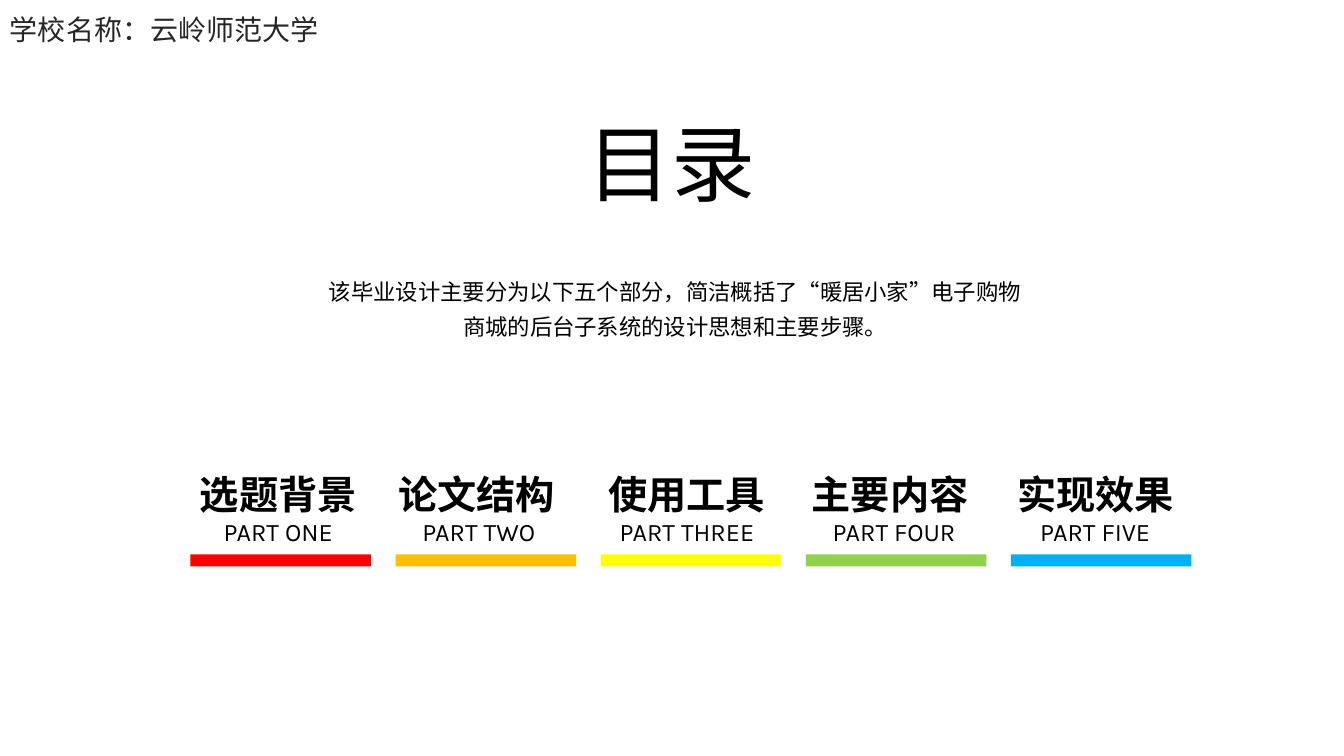
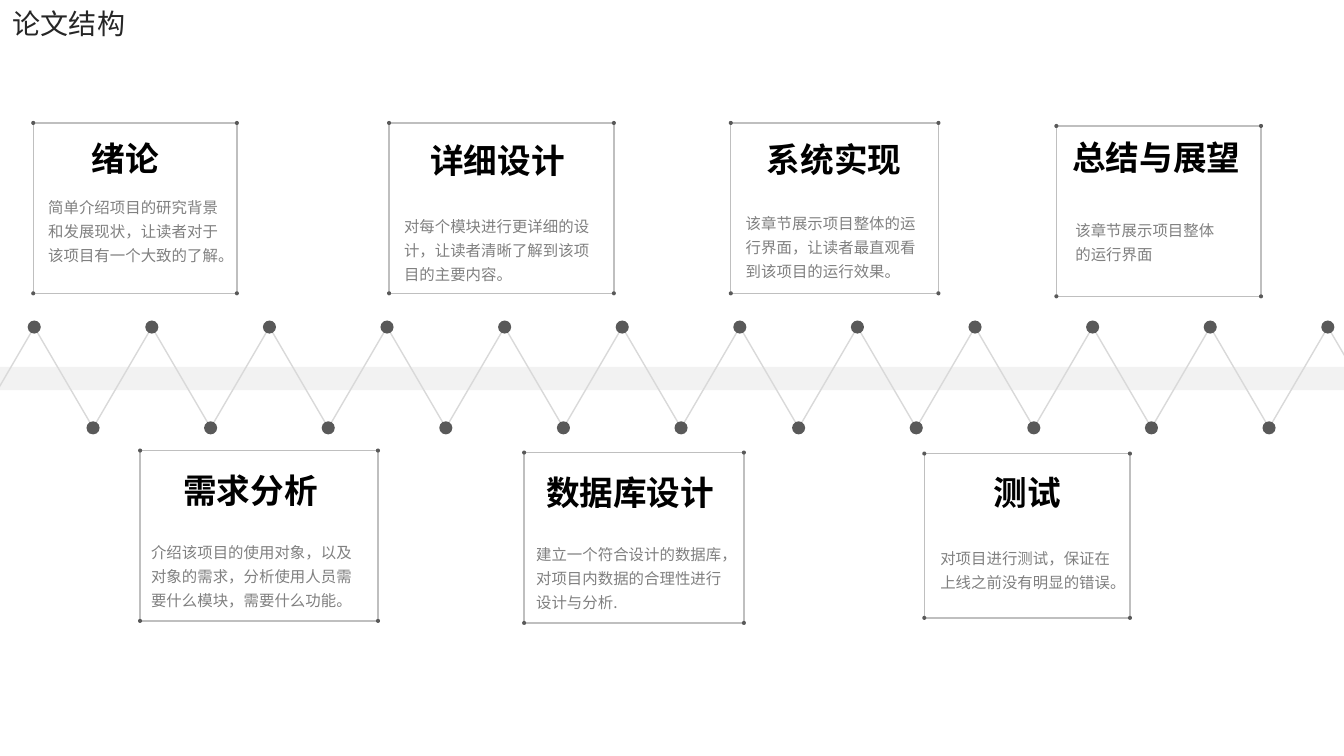
"""Builds the contents and thesis-structure slides of a graduation-project talk."""
from dataclasses import dataclass
from itertools import product
from typing import NamedTuple, Optional

from lxml.etree import SubElement
from pptx import Presentation
from pptx.dml.color import RGBColor
from pptx.enum.lang import MSO_LANGUAGE_ID as Lang
from pptx.enum.shapes import MSO_CONNECTOR as Connector, MSO_SHAPE as Preset
from pptx.enum.text import MSO_AUTO_SIZE as AutoSize, PP_ALIGN as Align
from pptx.oxml.ns import qn
from pptx.slide import Slide
from pptx.util import Inches, Pt

COLUMNS, ROWS = 80, 45
SLIDE_W, SLIDE_H = Inches(13.33), Inches(7.5)

BLACK = RGBColor(0x00, 0x00, 0x00)
WHITE = RGBColor(0xFF, 0xFF, 0xFF)
HEADER_INK = RGBColor(0x26, 0x26, 0x26)
BODY_GREY = RGBColor(0x80, 0x80, 0x80)
DOT_GREY = RGBColor(0x59, 0x59, 0x59)
FRAME_GREY = RGBColor(0xBF, 0xBF, 0xBF)
WAVE_GREY = RGBColor(0xD9, 0xD9, 0xD9)
BAND_GREY = RGBColor(0xF2, 0xF2, 0xF2)
RED = RGBColor(0xFF, 0x00, 0x00)
ORANGE = RGBColor(0xFF, 0xC0, 0x00)
YELLOW = RGBColor(0xFF, 0xFF, 0x00)
GREEN = RGBColor(0x92, 0xD0, 0x50)
BLUE = RGBColor(0x00, 0xB0, 0xF0)

LATIN_FONT = "Karla"
CHINESE_FONT = "Noto Sans CJK SC"


class Area(NamedTuple):
    left: float
    top: float
    width: float
    height: float


class Style(NamedTuple):
    size: int
    color: RGBColor = BLACK
    bold: bool = False
    font: str = LATIN_FONT
    align: Align = Align.LEFT
    spacing: Optional[float] = None
    wrap: bool = True


HEADER = Style(20, HEADER_INK, wrap=False)
CONTENTS_TITLE = Style(60, align=Align.CENTER, wrap=False)
SUMMARY = Style(16, align=Align.CENTER, spacing=1.3)
PART_NAME = Style(28, bold=True, align=Align.CENTER, spacing=1.3)
PART_NUMBER = Style(18, align=Align.CENTER, spacing=1.3)
CHAPTER_NAME = Style(24, bold=True, wrap=False)
CHAPTER_BODY = Style(11, BODY_GREY, font=CHINESE_FONT, spacing=1.3)


@dataclass(frozen=True)
class Part:
    name: str
    name_left: float
    number: str
    number_left: float
    number_width: float
    color: RGBColor


@dataclass(frozen=True)
class Chapter:
    name: str
    name_at: tuple[float, float]
    frame: Area
    body: str
    body_area: Area


PARTS = [
    Part("选题背景", 10.8, "PART ONE", 11.76, 9.6, RED),
    Part("论文结构", 22.62, "PART TWO", 23.28, 10.44, ORANGE),
    Part("使用工具", 35.1, "PART THREE", 35.28, 11.22, YELLOW),
    Part("主要内容", 47.22, "PART FOUR", 48.6, 9.24, GREEN),
    Part("实现效果", 59.46, "PART FIVE", 61.2, 7.98, BLUE),
]
PART_LEFT, PART_PITCH, PART_WIDTH = 11.34, 12.21, 10.74

CHAPTERS = [
    Chapter("绪论", (4.86, 7.92), Area(1.98, 7.32, 12.12, 10.14),
            "简单介绍项目的研究背景和发展现状，让读者对于该项目有一个大致的了解。",
            Area(2.28, 11.16, 11.52, 6.36)),
    Chapter("需求分析", (10.32, 27.66), Area(8.34, 26.82, 14.16, 10.14),
            "介绍该项目的使用对象，以及对象的需求，分析使用人员需要什么模块，需要什么功能。",
            Area(8.4, 31.68, 13.56, 4.92)),
    Chapter("详细设计", (25.02, 8.04), Area(23.16, 7.32, 13.38, 10.14),
            "对每个模块进行更详细的设计，让读者清晰了解到该项目的主要内容。",
            Area(23.46, 12.3, 12.3, 4.92)),
    Chapter("数据库设计", (31.92, 27.78), Area(31.2, 26.94, 13.08, 10.14),
            "建立一个符合设计的数据库，对项目内数据的合理性进行设计与分析.",
            Area(31.32, 31.8, 12.54, 4.92)),
    Chapter("系统实现", (45.06, 7.98), Area(43.5, 7.32, 12.36, 10.14),
            "该章节展示项目整体的运行界面，让读者最直观看到该项目的运行效果。",
            Area(43.8, 12.12, 12.06, 4.92)),
    Chapter("测试", (58.56, 27.78), Area(55.02, 27, 12.24, 9.78),
            "对项目进行测试，保证在上线之前没有明显的错误。",
            Area(55.38, 32.04, 11.58, 3.48)),
    Chapter("总结与展望", (63.24, 7.86), Area(62.88, 7.5, 12.18, 10.14),
            "该章节展示项目整体的运行界面",
            Area(63.42, 12.54, 10.2, 3.48)),
]

WAVE_LEFT, WAVE_TOP, WAVE_PITCH, WAVE_HEIGHT, WAVE_COUNT = -1.46, 19.47, 7, 6, 12
WAVE_DOT, CORNER_DOT = 0.78, 0.24


def across(columns: float) -> int:
    """Turns grid columns into a length."""
    return round(SLIDE_W * columns / COLUMNS)


def down(rows: float) -> int:
    """Turns grid rows into a length."""
    return round(SLIDE_H * rows / ROWS)


def placed(area: Area) -> tuple[int, int, int, int]:
    """Turns a grid area into left, top, width and height."""
    return across(area.left), down(area.top), across(area.width), down(area.height)


def add_text(slide: Slide, area: Area, words: str, style: Style) -> None:
    """Writes one paragraph in the given style."""
    frame = slide.shapes.add_textbox(*placed(area)).text_frame
    frame.word_wrap = style.wrap
    frame.auto_size = AutoSize.SHAPE_TO_FIT_TEXT
    paragraph = frame.paragraphs[0]
    paragraph.alignment = style.align
    if style.spacing:
        paragraph.line_spacing = style.spacing
    run = paragraph.add_run()
    run.text = words
    font = run.font
    font.size, font.bold, font.name = Pt(style.size), style.bold, style.font
    font.color.rgb = style.color
    font.language_id = Lang.SIMPLIFIED_CHINESE
    SubElement(run._r.get_or_add_rPr(), qn("a:ea"), typeface=CHINESE_FONT)


def add_figure(slide: Slide, preset: Preset, area: Area,
               fill: Optional[RGBColor] = None, line: Optional[RGBColor] = None) -> None:
    """Draws a flat preset shape, filled or outlined."""
    figure = slide.shapes.add_shape(preset, *placed(area))
    figure.shadow.inherit = False
    if fill is None:
        figure.fill.background()
    else:
        figure.fill.solid()
        figure.fill.fore_color.rgb = fill
    if line is None:
        figure.line.fill.background()
    else:
        figure.line.color.rgb = line
        figure.line.width = Pt(1)


def add_dot(slide: Slide, x: float, y: float, size: float) -> None:
    """Draws a grey dot centred on a grid point."""
    add_figure(slide, Preset.OVAL, Area(x - size / 2, y - size / 2, size, size), fill=DOT_GREY)


def add_part(slide: Slide, index: int, part: Part) -> None:
    """Draws one entry of the contents with its colour bar."""
    add_text(slide, Area(part.number_left, 29.88, part.number_width, 2.94),
             part.number, PART_NUMBER)
    add_text(slide, Area(part.name_left, 26.88, 11.52, 3.9), part.name, PART_NAME)
    add_figure(slide, Preset.RECTANGLE,
               Area(PART_LEFT + index * PART_PITCH, 33, PART_WIDTH, 0.72), fill=part.color)


def add_wave(slide: Slide) -> None:
    """Draws the zigzag over its band, with a dot at every turn."""
    add_figure(slide, Preset.RECTANGLE, Area(0, 21.84, COLUMNS, 1.38), fill=BAND_GREY)
    lefts = [WAVE_LEFT + index * WAVE_PITCH for index in range(WAVE_COUNT)]
    bottom = WAVE_TOP + WAVE_HEIGHT
    for left in lefts:
        add_figure(slide, Preset.ISOSCELES_TRIANGLE,
                   Area(left, WAVE_TOP, WAVE_PITCH, WAVE_HEIGHT), line=WAVE_GREY)
    base = slide.shapes.add_connector(Connector.STRAIGHT, 0, down(bottom), SLIDE_W, down(bottom))
    base.line.color.rgb = WHITE
    base.line.width = Pt(3)
    SubElement(base._element.spPr, qn("a:effectLst"))
    for left in lefts:
        add_dot(slide, left + WAVE_PITCH / 2, WAVE_TOP, WAVE_DOT)
    for left in lefts[1:]:
        add_dot(slide, left, bottom, WAVE_DOT)


def add_chapter(slide: Slide, chapter: Chapter) -> None:
    """Draws a framed chapter card with dotted corners."""
    left, top, width, height = chapter.frame
    add_figure(slide, Preset.RECTANGLE, chapter.frame, line=FRAME_GREY)
    for x, y in product((left, left + width), (top, top + height)):
        add_dot(slide, x, y, CORNER_DOT)
    name_width = 1.2 + 2.02 * len(chapter.name)
    add_text(slide, Area(*chapter.name_at, name_width, 3), chapter.name, CHAPTER_NAME)
    add_text(slide, chapter.body_area, chapter.body, CHAPTER_BODY)


def new_slide(deck: Presentation, header: str, area: Area) -> Slide:
    """Adds a blank slide with its header line."""
    slide = deck.slides.add_slide(deck.slide_layouts[6])
    add_text(slide, area, header, HEADER)
    return slide


def build_contents(deck: Presentation) -> None:
    """Builds the contents slide."""
    slide = new_slide(deck, "学校名称：云岭师范大学", Area(0, 0.42, 19.74, 2.64))
    add_text(slide, Area(34.32, 6.36, 11.28, 6.66), "目录", CONTENTS_TITLE)
    add_text(slide, Area(18.36, 15.78, 43.68, 4.8),
             "该毕业设计主要分为以下五个部分，简洁概括了“暖居小家”电子购物"
             "商城的后台子系统的设计思想和主要步骤。", SUMMARY)
    for index, part in enumerate(PARTS):
        add_part(slide, index, part)


def build_structure(deck: Presentation) -> None:
    """Builds the thesis-structure slide."""
    slide = new_slide(deck, "论文结构", Area(0.18, 0.12, 7.92, 2.64))
    add_wave(slide)
    for chapter in CHAPTERS:
        add_chapter(slide, chapter)


def main() -> None:
    """Builds and saves the deck."""
    deck = Presentation()
    deck.slide_width, deck.slide_height = SLIDE_W, SLIDE_H
    build_contents(deck)
    build_structure(deck)
    deck.save("out.pptx")


main()
